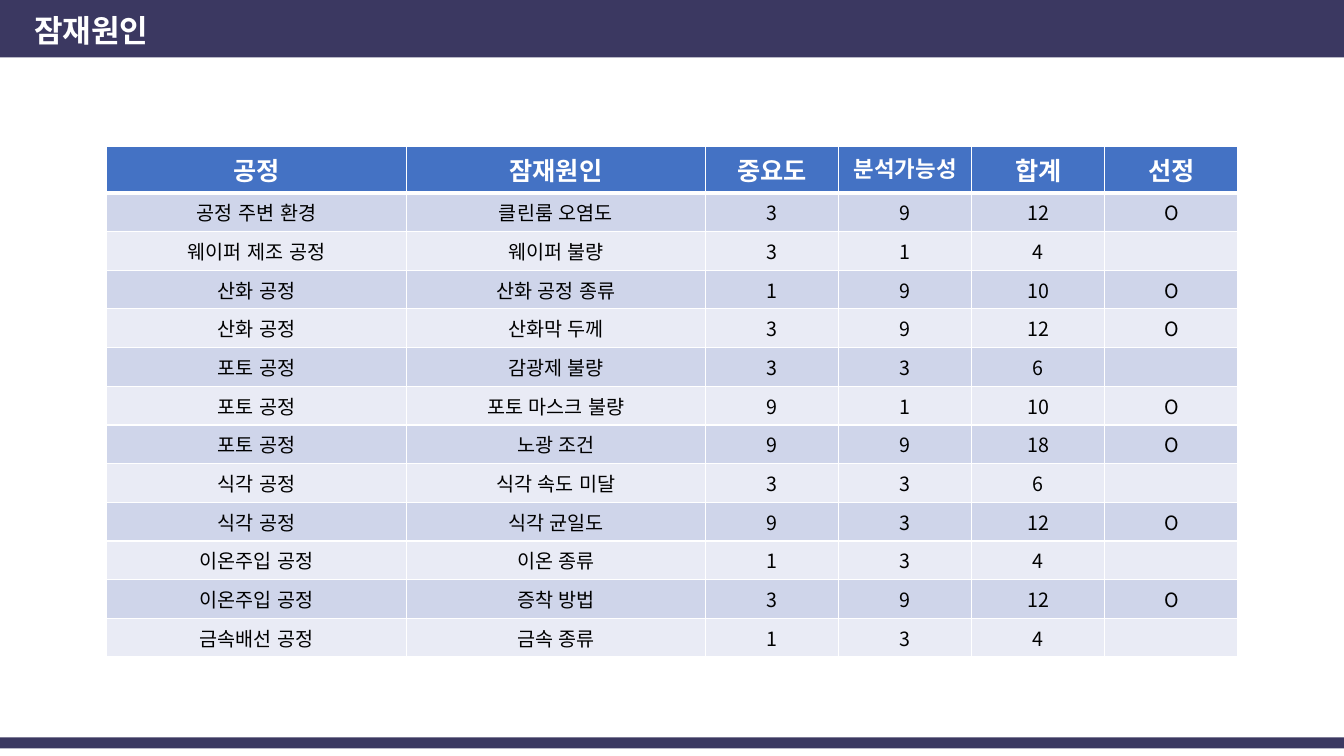
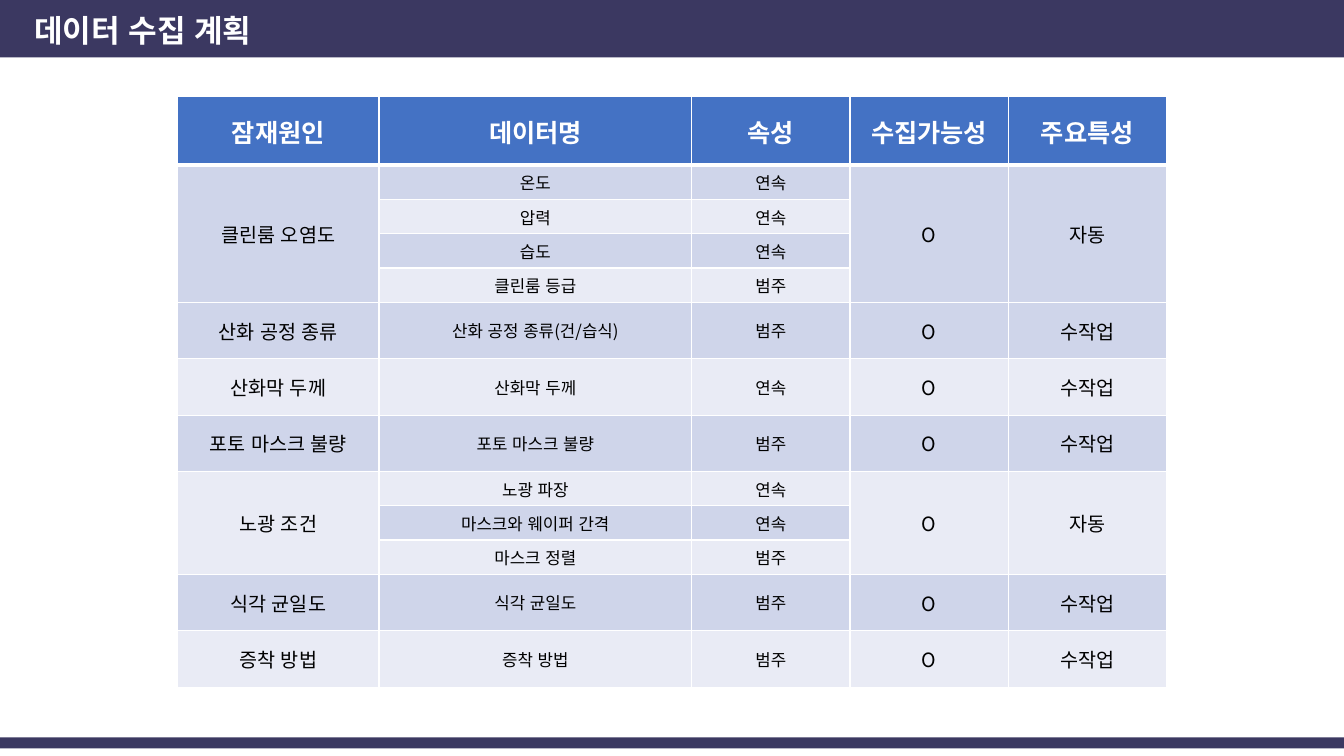
import pptx
import pptx.dml.color
import pptx.enum.shapes
import pptx.enum.text
import pptx.oxml.ns
import pptx.util
from lxml import etree

Inches, Pt = pptx.util.Inches, pptx.util.Pt
RGBColor = pptx.dml.color.RGBColor
Align, Anchor = pptx.enum.text.PP_ALIGN, pptx.enum.text.MSO_ANCHOR
qn = pptx.oxml.ns.qn

# Shared look
FONT = "Noto Sans CJK KR"
NAVY = RGBColor(0x3B, 0x38, 0x61)
BLUE = RGBColor(0x44, 0x72, 0xC4)
DARK_STRIPE = RGBColor(0xCF, 0xD5, 0xEA)
LIGHT_STRIPE = RGBColor(0xE9, 0xEB, 0xF5)
WHITE = RGBColor(0xFF, 0xFF, 0xFF)
BLACK = RGBColor(0, 0, 0)
SLIDE_WIDTH = 13.33
HEADER_SIZE, BODY_SIZE, DETAIL_SIZE = 18, 14, 12

# Slide 1: process, cause, importance, analysability, total, selected
CAUSE_HEADER = ["공정", "잠재원인", "중요도", "분석가능성", "합계", "선정"]
CAUSES = [
    ["공정 주변 환경", "클린룸 오염도", "3", "9", "12", "O"],
    ["웨이퍼 제조 공정", "웨이퍼 불량", "3", "1", "4", ""],
    ["산화 공정", "산화 공정 종류", "1", "9", "10", "O"],
    ["산화 공정", "산화막 두께", "3", "9", "12", "O"],
    ["포토 공정", "감광제 불량", "3", "3", "6", ""],
    ["포토 공정", "포토 마스크 불량", "9", "1", "10", "O"],
    ["포토 공정", "노광 조건", "9", "9", "18", "O"],
    ["식각 공정", "식각 속도 미달", "3", "3", "6", ""],
    ["식각 공정", "식각 균일도", "9", "3", "12", "O"],
    ["이온주입 공정", "이온 종류", "1", "3", "4", ""],
    ["이온주입 공정", "증착 방법", "3", "9", "12", "O"],
    ["금속배선 공정", "금속 종류", "1", "3", "4", ""],
]

# Slide 2: cause, its data items with their type, collection method
PLAN_HEADER = ["잠재원인", "데이터명", "속성", "수집가능성", "주요특성"]
PLAN = [
    ("클린룸 오염도", [("온도", "연속"), ("압력", "연속"), ("습도", "연속"),
                 ("클린룸 등급", "범주")], "자동"),
    ("산화 공정 종류", [("산화 공정 종류(건/습식)", "범주")], "수작업"),
    ("산화막 두께", [("산화막 두께", "연속")], "수작업"),
    ("포토 마스크 불량", [("포토 마스크 불량", "범주")], "수작업"),
    ("노광 조건", [("노광 파장", "연속"), ("마스크와 웨이퍼 간격", "연속"),
               ("마스크 정렬", "범주")], "자동"),
    ("식각 균일도", [("식각 균일도", "범주")], "수작업"),
    ("증착 방법", [("증착 방법", "범주")], "수작업"),
]
PLAN_DETAIL_COLUMNS = (1, 2)


def style_run(run, size, color, bold):
    run.font.name = FONT
    run.font.size = Pt(size)
    run.font.bold = bold
    run.font.color.rgb = color
    # Hangul takes the East Asian typeface, without pair kerning
    properties = run.font._element
    properties.set("lang", "ko-KR")
    properties.set("kern", "0")
    etree.SubElement(properties, qn("a:ea"), typeface=FONT)


def write_paragraph(paragraph, text, size, color, bold=False):
    paragraph.text = text
    for run in paragraph.runs:
        style_run(run, size, color, bold)
    if not text:
        # Keeps an empty cell from stretching its row
        etree.SubElement(paragraph._p, qn("a:endParaRPr"), sz=str(size * 100))


def add_borders(cell, top, bottom):
    properties = cell._tc.get_or_add_tcPr()
    for side, width in (("L", 1), ("R", 1), ("T", top), ("B", bottom)):
        line = etree.SubElement(properties, qn(f"a:ln{side}"), w=str(Pt(width)))
        fill = etree.SubElement(line, qn("a:solidFill"))
        etree.SubElement(fill, qn("a:srgbClr"), val=str(WHITE))


def add_grid(slide, left, top, widths, heights, rows, anchor, sizes):
    """Striped table; sizes maps (row, column) to the text size."""
    frame = slide.shapes.add_table(
        len(rows), len(widths), Inches(left), Inches(top),
        Inches(sum(widths)), Inches(sum(heights)))
    table = frame.table
    for column, width in zip(table.columns, widths):
        column.width = Inches(width)
    for r, (height, texts) in enumerate(zip(heights, rows)):
        table.rows[r].height = Inches(height)
        header = r == 0
        stripe = DARK_STRIPE if r % 2 else LIGHT_STRIPE
        for c, text in enumerate(texts):
            cell = table.cell(r, c)
            add_borders(cell, top=3 if r == 1 else 1, bottom=3 if header else 1)
            cell.fill.solid()
            cell.fill.fore_color.rgb = BLUE if header else stripe
            cell.vertical_anchor = anchor
            paragraph = cell.text_frame.paragraphs[0]
            write_paragraph(paragraph, text, sizes(r, c),
                            WHITE if header else BLACK, header)
            paragraph.alignment = Align.CENTER
    return table


def add_band(slide, top, height):
    band = slide.shapes.add_shape(
        pptx.enum.shapes.MSO_SHAPE.RECTANGLE,
        0, Inches(top), Inches(SLIDE_WIDTH), Inches(height))
    band.shadow.inherit = False
    band.fill.solid()
    band.fill.fore_color.rgb = NAVY
    band.line.fill.background()


def add_title_and_bands(slide, title):
    add_band(slide, 0, 0.57)
    heading = slide.shapes.add_textbox(
        Inches(0.24), Inches(0.15), Inches(11.93), Inches(0.38)).text_frame
    heading.word_wrap = True
    heading.vertical_anchor = Anchor.MIDDLE
    paragraph = heading.paragraphs[0]
    write_paragraph(paragraph, title, 22.2, WHITE, True)
    paragraph.line_spacing = 0.7
    add_band(slide, 7.315, 0.11)


def build_causes(slide):
    def sizes(row, column):
        if row:
            return BODY_SIZE
        return 16 if CAUSE_HEADER[column] == "분석가능성" else HEADER_SIZE

    add_grid(slide, 1.06, 1.45, [2.97] * 2 + [1.32] * 4,
             [0.45] + [0.38] * len(CAUSES), [CAUSE_HEADER] + CAUSES,
             Anchor.TOP, sizes)
    add_title_and_bands(slide, "잠재원인")


def build_plan(slide):
    def sizes(row, column):
        if row == 0:
            return HEADER_SIZE
        return DETAIL_SIZE if column in PLAN_DETAIL_COLUMNS else BODY_SIZE

    rows, heights, groups = [PLAN_HEADER], [0.68], []
    for cause, items, method in PLAN:
        groups.append((len(rows), len(rows) + len(items) - 1))
        for i, (name, kind) in enumerate(items):
            rows.append([cause, name, kind, "O", method] if i == 0
                        else ["", name, kind, "", ""])
            heights.append(0.56 if len(items) == 1 else 0.34)
    table = add_grid(slide, 1.76, 0.96, [2, 3.1] + [1.57] * 3, heights,
                     rows, Anchor.MIDDLE, sizes)

    # One cause spans all of its data items
    for first, last in groups:
        if last > first:
            for column in range(len(PLAN_HEADER)):
                if column not in PLAN_DETAIL_COLUMNS:
                    table.cell(first, column).merge(table.cell(last, column))
    add_title_and_bands(slide, "데이터 수집 계획")


def main():
    deck = pptx.Presentation()
    deck.slide_width = Inches(SLIDE_WIDTH)
    deck.slide_height = Inches(7.5)
    for build in (build_causes, build_plan):
        build(deck.slides.add_slide(deck.slide_layouts[6]))
    deck.save("out.pptx")


if __name__ == "__main__":
    main()
